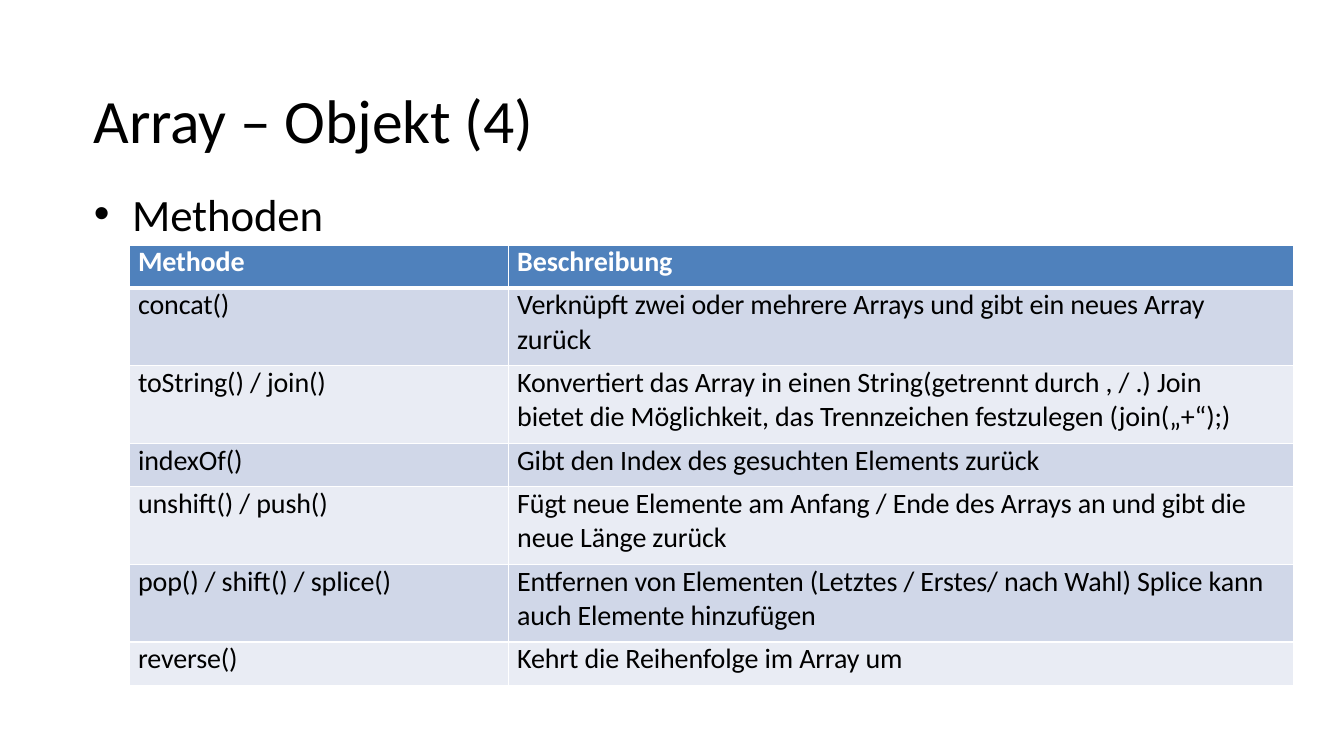
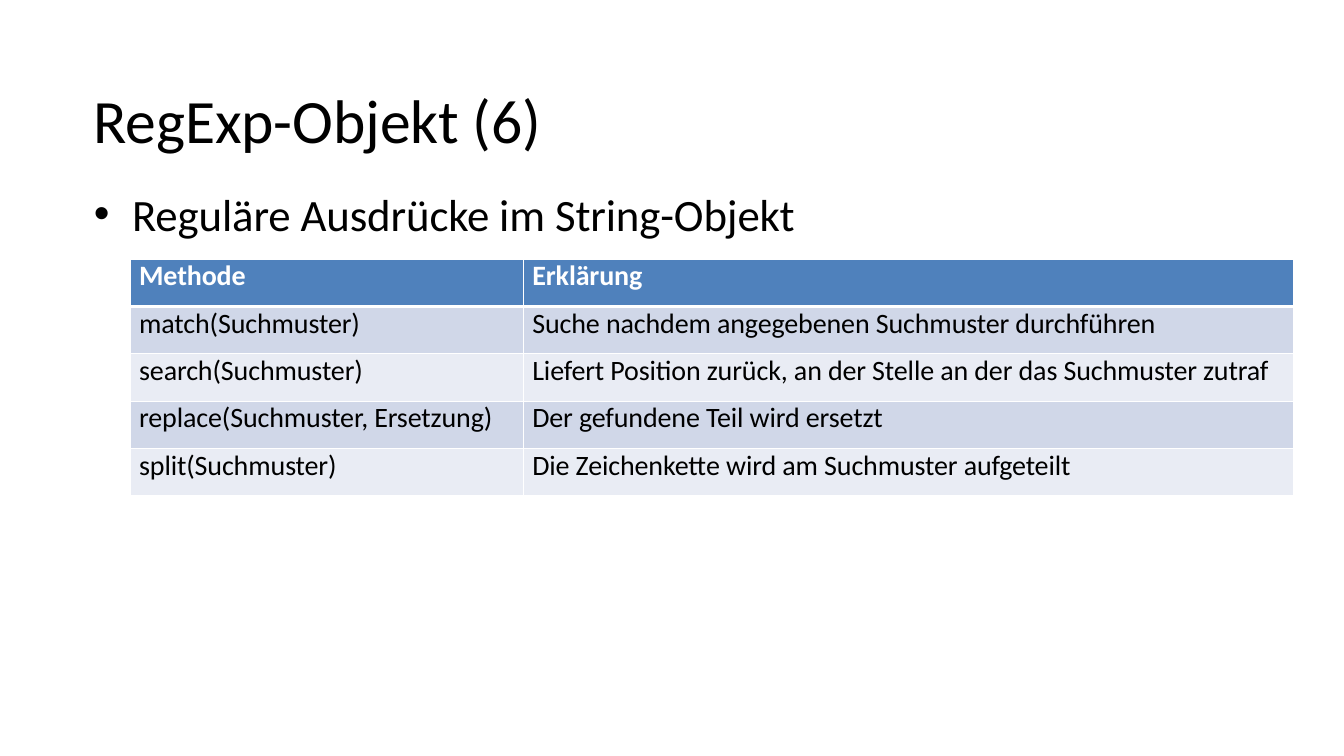
from dataclasses import dataclass
from typing import NamedTuple

from lxml import etree
from pptx import Presentation
from pptx import util as u
from pptx.dml.color import RGBColor
from pptx.enum import text as t
from pptx.oxml import ns

PX = 9144  # EMU per px, 100 px to the inch


@dataclass(frozen=True)
class Theme:
    font: str = "Calibri"
    ink: str = "000000"
    white: str = "FFFFFF"
    head: str = "4F81BC"
    bands: tuple[str, str] = ("D0D7E8", "E9ECF4")
    title: int = 44
    body: int = 32
    cell: int = 20
    track: int = -10  # hundredths of a point
    thin: int = 1
    thick: int = 3


class Box(NamedTuple):
    left: int
    top: int
    width: int
    height: int


@dataclass(frozen=True)
class Grid:
    left: int
    top: int
    cols: tuple[int, ...]
    heights: tuple[int, ...]
    rows: tuple[tuple[str, ...], ...]


@dataclass(frozen=True)
class Page:
    title: str
    topic: str
    width: int
    grid: Grid


THEME = Theme()
LOW, TALL, EVEN = 43, 77, 47
TITLE = Box(92, 50, 1150, 135)

PAGES = (
    Page("Array – Objekt (4)", "Methoden", 231, Grid(
        128, 243, (376, 779), (LOW, TALL, TALL, LOW, TALL, TALL, LOW), (
            ("Methode", "Beschreibung"),
            ("concat()",
             "Verknüpft zwei oder mehrere Arrays und gibt ein neues Array\vzurück"),
            ("toString() / join()",
             "Konvertiert das Array in einen String(getrennt durch , / .) Join\v"
             "bietet die Möglichkeit, das Trennzeichen festzulegen (join(„+“);)"),
            ("indexOf()", "Gibt den Index des gesuchten Elements zurück"),
            ("unshift() / push()",
             "Fügt neue Elemente am Anfang / Ende des Arrays an und gibt die\v"
             "neue Länge zurück"),
            ("pop() / shift() / splice()",
             "Entfernen von Elementen (Letztes / Erstes/ nach Wahl) Splice kann\v"
             "auch Elemente hinzufügen"),
            ("reverse()", "Kehrt die Reihenfolge im Array um"),
        ))),
    Page("RegExp-Objekt (6)", "Reguläre Ausdrücke im String-Objekt", 703, Grid(
        129, 257, (390, 764), (EVEN,) * 5, (
            ("Methode", "Erklärung"),
            ("match(Suchmuster)", "Suche nachdem angegebenen Suchmuster durchführen"),
            ("search(Suchmuster)",
             "Liefert Position zurück, an der Stelle an der das Suchmuster zutraf"),
            ("replace(Suchmuster, Ersetzung)", "Der gefundene Teil wird ersetzt"),
            ("split(Suchmuster)", "Die Zeichenkette wird am Suchmuster aufgeteilt"),
        ))),
)


def write(frame, words: str, *, size: int, color: str = THEME.ink,
          bold: bool = False, before: float = 0, inset: int = 0,
          anchor=t.MSO_ANCHOR.TOP, bullet: bool = False) -> None:
    """Fill a text frame with one paragraph; \\v breaks a line."""
    frame.word_wrap = True
    frame.vertical_anchor = anchor
    frame.margin_left = inset * PX
    frame.margin_top = frame.margin_right = frame.margin_bottom = 0
    para = frame.paragraphs[0]
    para.text = words
    para.space_before = u.Pt(before)
    for run in para.runs:
        font = run.font
        font.name, font.size, font.bold = THEME.font, u.Pt(size), bold
        font.color.rgb = RGBColor.from_string(color)
        run._r.get_or_add_rPr().set("spc", str(THEME.track))
    if bullet:
        props = para._p.get_or_add_pPr()
        props.set("marL", str(39 * PX))
        props.set("indent", str(-38 * PX))
        etree.SubElement(props, ns.qn("a:buFont"), typeface="Arial")
        etree.SubElement(props, ns.qn("a:buChar"), char="•")


def label(slide, box: Box, words: str, **style) -> None:
    shape = slide.shapes.add_textbox(*(n * PX for n in box))
    write(shape.text_frame, words, **style)


def edge(cell, **widths: int) -> None:
    """Draw white cell borders, given as side=points in L, R, T, B order."""
    props = cell._tc.get_or_add_tcPr()
    for spot, (side, width) in enumerate(widths.items()):
        line = etree.Element(ns.qn(f"a:ln{side}"), w=str(u.Pt(width)))
        fill = etree.SubElement(line, ns.qn("a:solidFill"))
        etree.SubElement(fill, ns.qn("a:srgbClr"), val=THEME.white)
        props.insert(spot, line)


def table(slide, grid: Grid) -> None:
    area = Box(grid.left, grid.top, sum(grid.cols), sum(grid.heights))
    tab = slide.shapes.add_table(len(grid.rows), len(grid.cols),
                                 *(n * PX for n in area)).table
    tab.first_row = tab.horz_banding = False
    for col, width in zip(tab.columns, grid.cols):
        col.width = width * PX
    for i, (row, height) in enumerate(zip(grid.rows, grid.heights)):
        tab.rows[i].height = height * PX
        head = i == 0
        back = THEME.head if head else THEME.bands[(i - 1) % 2]
        for j, words in enumerate(row):
            cell = tab.cell(i, j)
            write(cell.text_frame, words, size=THEME.cell, bold=head,
                  color=THEME.white if head else THEME.ink,
                  before=0.8 if i == 1 else 1.9)
            cell.margin_left = 9 * PX
            cell.margin_top = cell.margin_right = cell.margin_bottom = 0
            cell.vertical_anchor = t.MSO_ANCHOR.TOP
            cell.fill.solid()
            cell.fill.fore_color.rgb = RGBColor.from_string(back)
            edge(cell, L=THEME.thin, R=THEME.thin,
                 T=THEME.thick if i == 1 else THEME.thin,
                 B=THEME.thick if head else THEME.thin)


def draw(deck, page: Page) -> None:
    slide = deck.slides.add_slide(deck.slide_layouts[6])
    label(slide, TITLE, page.title, size=THEME.title, inset=1,
          anchor=t.MSO_ANCHOR.MIDDLE)
    topic = Box(TITLE.left, TITLE.top + TITLE.height, page.width, 57)
    label(slide, topic, page.topic, size=THEME.body, bullet=True)
    table(slide, page.grid)


def main() -> None:
    deck = Presentation()
    deck.slide_width, deck.slide_height = 1333 * PX, 750 * PX
    for page in PAGES:
        draw(deck, page)
    deck.save("out.pptx")


if __name__ == "__main__":
    main()
